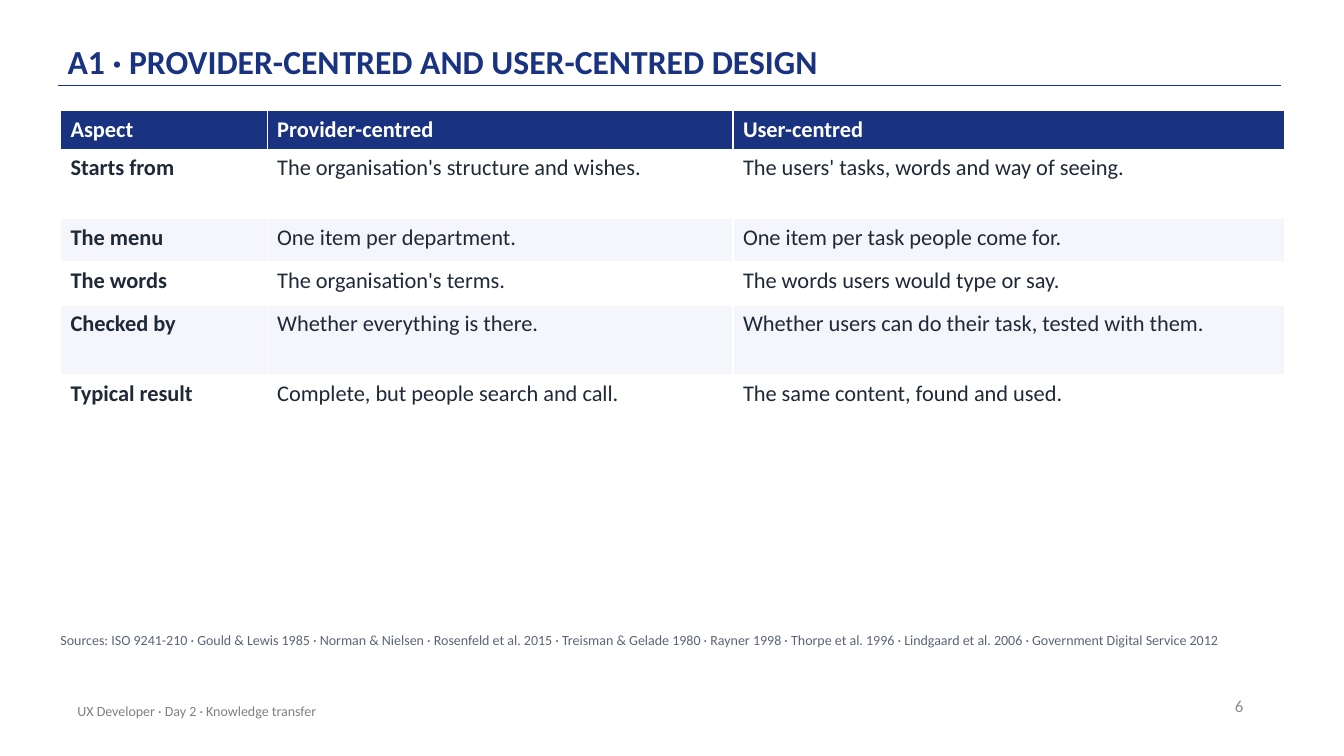
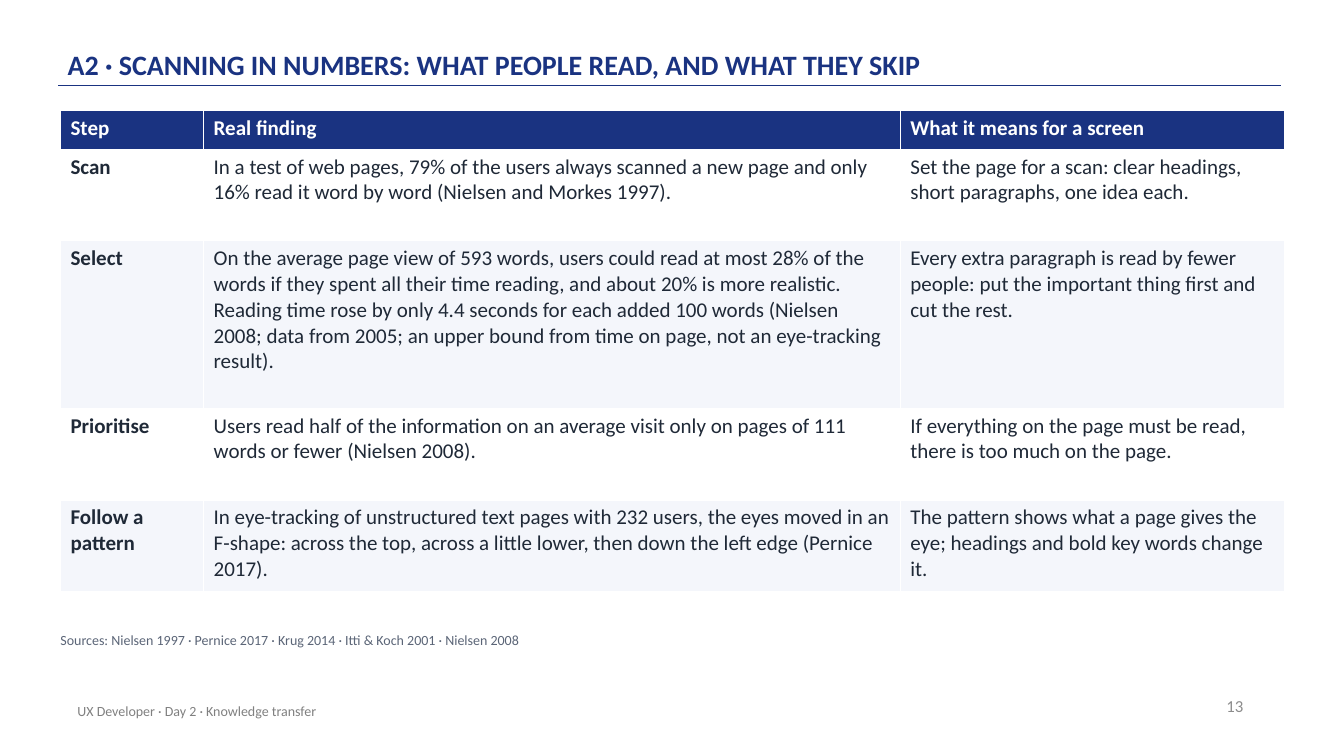
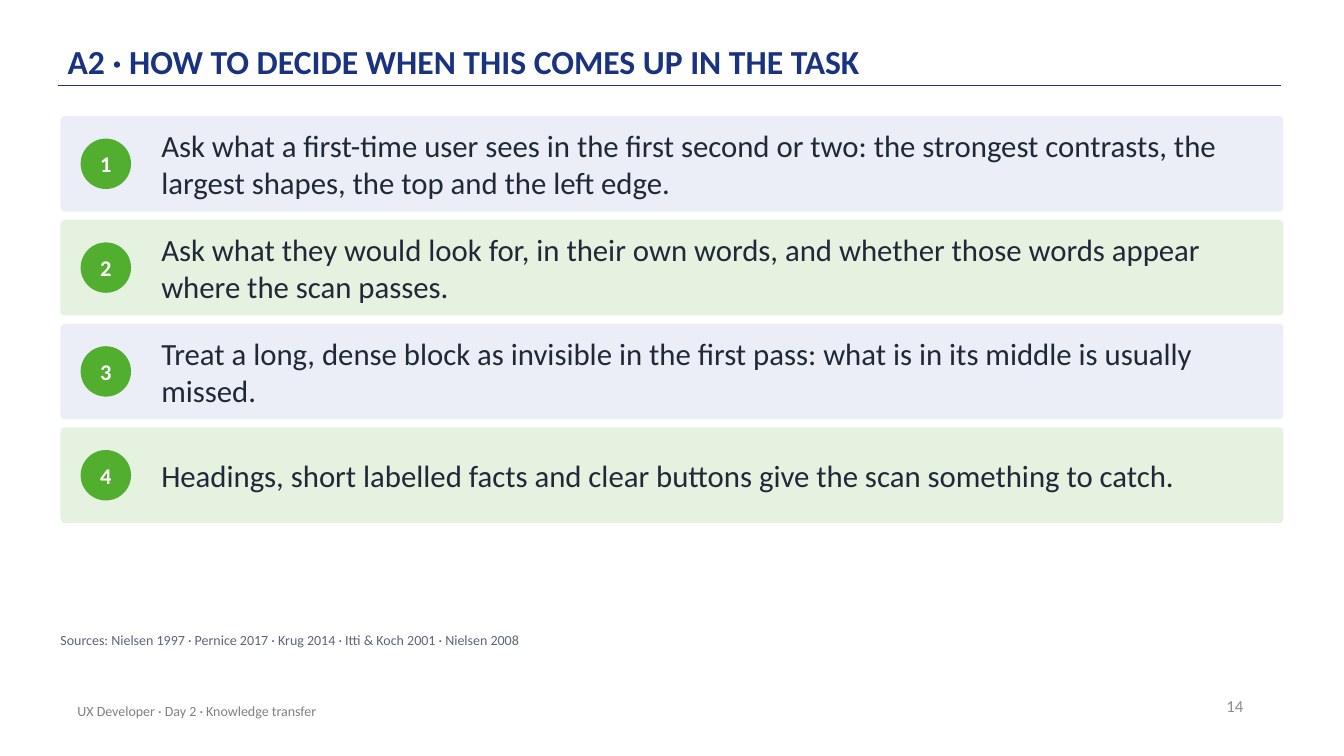
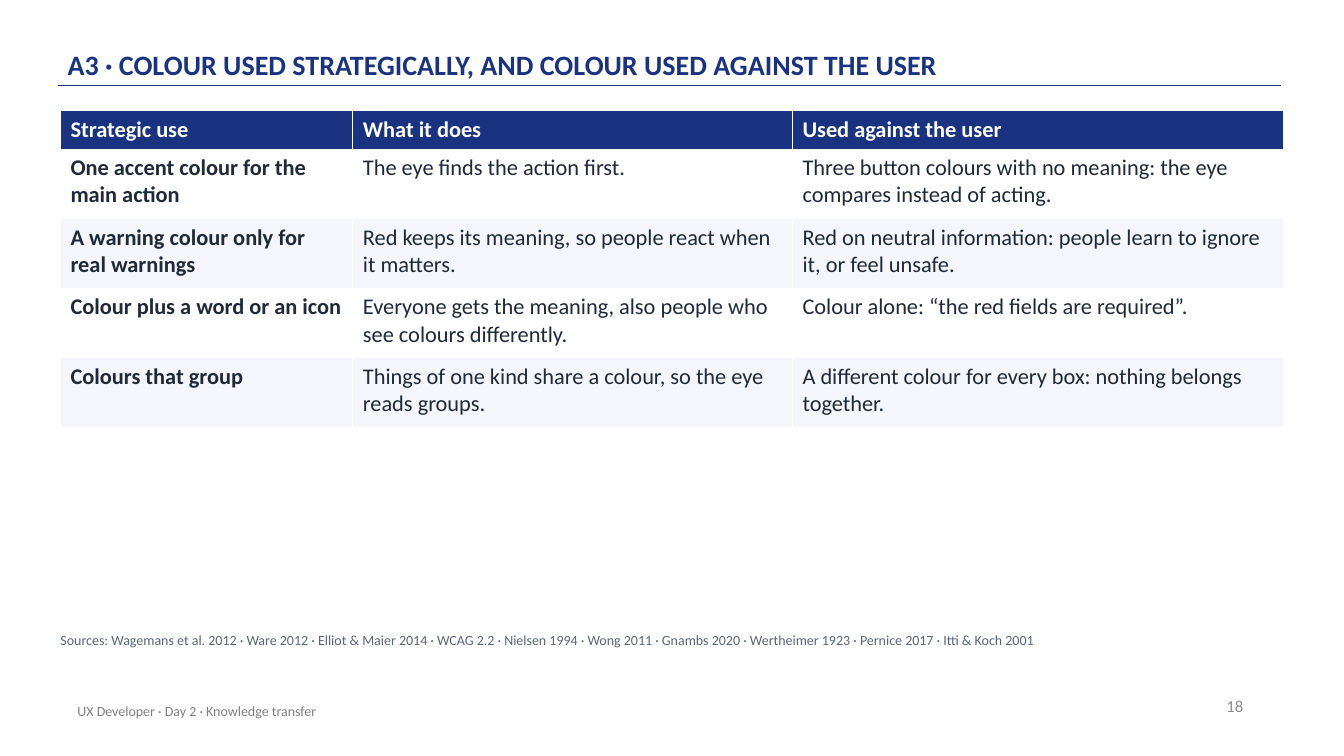
from lxml import etree
from pptx import Presentation
from pptx.dml.color import RGBColor
from pptx.enum.shapes import MSO_CONNECTOR, MSO_SHAPE
from pptx.enum.text import MSO_ANCHOR, MSO_AUTO_SIZE, PP_ALIGN
from pptx.oxml.ns import qn
from pptx.util import Inches, Pt

FONT = "Calibri"
COLOURS = {
    "navy": "1A3381",
    "white": "FFFFFF",
    "ink": "1F2937",
    "band": "F4F6FB",
    "lilac": "ECEEF7",
    "mint": "E5F2DF",
    "green": "51AE2F",
    "source": "5B6577",
    "footer": "808080",
    "number": "8C8C8C",
}
LEFT, WIDTH = 0.6, 12.13
FOOTER = "UX Developer · Day 2 · Knowledge transfer"
SCANNING_SOURCES = "Nielsen 1997 · Pernice 2017 · Krug 2014 · Itti & Koch 2001 · Nielsen 2008"


def colour(name):
    return RGBColor.from_string(COLOURS[name])


class Deck:
    def __init__(self):
        self.deck = Presentation()
        self.deck.slide_width = Inches(13.33)
        self.deck.slide_height = Inches(7.5)
        self.page = None

    def fill_text(self, frame, text, size, ink, bold=False, align=PP_ALIGN.LEFT):
        para = frame.paragraphs[0]
        para.text = text
        para.alignment = align
        font = para.font
        font.name, font.size, font.bold = FONT, Pt(size), bold
        font.color.rgb = colour(ink)
        return para

    def set_frame(self, frame, anchor, margins):
        frame.word_wrap = True
        frame.auto_size = MSO_AUTO_SIZE.NONE
        frame.vertical_anchor = anchor
        frame.margin_left = frame.margin_right = Inches(margins[0])
        frame.margin_top = frame.margin_bottom = Inches(margins[1])

    def text(self, place, text, size, ink, anchor=MSO_ANCHOR.MIDDLE,
             margins=(0, 0), align=PP_ALIGN.LEFT):
        box = self.page.shapes.add_textbox(*map(Inches, place))
        self.set_frame(box.text_frame, anchor, margins)
        return self.fill_text(box.text_frame, text, size, ink, align=align)

    def shape(self, kind, place, fill):
        shape = self.page.shapes.add_shape(kind, *map(Inches, place))
        shape.shadow.inherit = False
        shape.fill.solid()
        shape.fill.fore_color.rgb = colour(fill)
        shape.line.fill.background()
        return shape

    def rule(self):
        line = self.page.shapes.add_connector(
            MSO_CONNECTOR.STRAIGHT, Inches(0.58), Inches(0.85), Inches(12.71), Inches(0.85))
        line.line.color.rgb = colour("navy")
        line.line.width = Pt(1)
        etree.SubElement(line._element.spPr, qn("a:effectLst"))

    def start_page(self, title, number, sources, title_size=24):
        """Add a slide with its title, rule, sources and footer."""
        self.page = self.deck.slides.add_slide(self.deck.slide_layouts[5])
        self.rule()
        box = self.page.shapes.title
        box.left, box.top, box.width, box.height = map(Inches, (0.67, 0.12, 11, 0.72))
        self.set_frame(box.text_frame, MSO_ANCHOR.BOTTOM, (0, 0.03))
        para = self.fill_text(box.text_frame, title, title_size, "navy", bold=True)
        para.line_spacing = 0.9
        self.text((9.43, 6.8, 3, 0.4), str(number), 12, "number",
                  margins=(0.1, 0.05), align=PP_ALIGN.RIGHT)
        self.text((0.67, 6.85, 6.7, 0.4), FOOTER, 10, "footer", margins=(0.1, 0.05))
        para = self.text((LEFT, 6.27, 12.1, 0.3), "Sources: " + sources, 10, "source",
                         anchor=MSO_ANCHOR.TOP)
        para.space_after = Pt(6)

    def table(self, rows, widths, heights, size=16):
        """Add a table with a navy header, bold first column and pale bands."""
        frame = self.page.shapes.add_table(
            len(rows), len(widths), Inches(LEFT), Inches(1.1),
            Inches(WIDTH), Inches(sum(heights)))
        table = frame.table
        for column, width in zip(table.columns, widths):
            column.width = Inches(width)
        for row, height in zip(table.rows, heights):
            row.height = Inches(height)
        for r, texts in enumerate(rows):
            if r == 0:
                fill, ink = "navy", "white"
            else:
                fill, ink = ("white" if r % 2 else "band"), "ink"
            for c, text in enumerate(texts):
                cell = table.cell(r, c)
                cell.fill.solid()
                cell.fill.fore_color.rgb = colour(fill)
                self.fill_text(cell.text_frame, text, size, ink, bold=r == 0 or c == 0)

    def steps(self, texts):
        """Add numbered bars in alternating colours."""
        height, pitch, badge_size = 0.95, 1.03, 0.5
        for index, text in enumerate(texts):
            top = 1.15 + index * pitch
            bar = self.shape(MSO_SHAPE.ROUNDED_RECTANGLE, (LEFT, top, WIDTH, height),
                             "mint" if index % 2 else "lilac")
            bar.adjustments[0] = 0.05
            badge = self.shape(
                MSO_SHAPE.OVAL,
                (0.8, top + (height - badge_size) / 2, badge_size, badge_size), "green")
            self.set_frame(badge.text_frame, MSO_ANCHOR.MIDDLE, (0, 0))
            self.fill_text(badge.text_frame, str(index + 1), 16, "white", True,
                           PP_ALIGN.CENTER)
            self.text((1.6, top, 10.93, height), text, 22, "ink")


def main():
    deck = Deck()

    deck.start_page(
        "A1 · PROVIDER-CENTRED AND USER-CENTRED DESIGN", 6,
        "ISO 9241-210 · Gould & Lewis 1985 · Norman & Nielsen · Rosenfeld et al. 2015 · "
        "Treisman & Gelade 1980 · Rayner 1998 · Thorpe et al. 1996 · "
        "Lindgaard et al. 2006 · Government Digital Service 2012")
    deck.table([
        ("Aspect", "Provider-centred", "User-centred"),
        ("Starts from", "The organisation's structure and wishes.",
         "The users' tasks, words and way of seeing."),
        ("The menu", "One item per department.", "One item per task people come for."),
        ("The words", "The organisation's terms.", "The words users would type or say."),
        ("Checked by", "Whether everything is there.",
         "Whether users can do their task, tested with them."),
        ("Typical result", "Complete, but people search and call.",
         "The same content, found and used."),
    ], (2.05, 4.62, 5.47), (0.38, 0.69, 0.43, 0.43, 0.69, 0.43))

    deck.start_page("A2 · SCANNING IN NUMBERS: WHAT PEOPLE READ, AND WHAT THEY SKIP", 13,
                    SCANNING_SOURCES, title_size=20)
    deck.table([
        ("Step", "Real finding", "What it means for a screen"),
        ("Scan",
         "In a test of web pages, 79% of the users always scanned a new page and only "
         "16% read it word by word (Nielsen and Morkes 1997).",
         "Set the page for a scan: clear headings, short paragraphs, one idea each."),
        ("Select",
         "On the average page view of 593 words, users could read at most 28% of the words "
         "if they spent all their time reading, and about 20% is more realistic. Reading time "
         "rose by only 4.4 seconds for each added 100 words (Nielsen 2008; data from 2005; "
         "an upper bound from time on page, not an eye-tracking result).",
         "Every extra paragraph is read by fewer people: put the important thing first "
         "and cut the rest."),
        ("Prioritise",
         "Users read half of the information on an average visit only on pages of 111 words "
         "or fewer (Nielsen 2008).",
         "If everything on the page must be read, there is too much on the page."),
        ("Follow a pattern",
         "In eye-tracking of unstructured text pages with 232 users, the eyes moved in an "
         "F-shape: across the top, across a little lower, then down the left edge "
         "(Pernice 2017).",
         "The pattern shows what a page gives the eye; headings and bold key words change it."),
    ], (1.42, 6.91, 3.81), (0.38, 0.91, 1.66, 0.91, 0.91), size=15)

    deck.start_page("A2 · HOW TO DECIDE WHEN THIS COMES UP IN THE TASK", 14, SCANNING_SOURCES)
    deck.steps([
        "Ask what a first-time user sees in the first second or two: the strongest contrasts, "
        "the largest shapes, the top and the left edge.",
        "Ask what they would look for, in their own words, and whether those words appear "
        "where the scan passes.",
        "Treat a long, dense block as invisible in the first pass: what is in its middle is "
        "usually missed.",
        "Headings, short labelled facts and clear buttons give the scan something to catch.",
    ])

    deck.start_page(
        "A3 · COLOUR USED STRATEGICALLY, AND COLOUR USED AGAINST THE USER", 18,
        "Wagemans et al. 2012 · Ware 2012 · Elliot & Maier 2014 · WCAG 2.2 · Nielsen 1994 · "
        "Wong 2011 · Gnambs 2020 · Wertheimer 1923 · Pernice 2017 · Itti & Koch 2001",
        title_size=20)
    deck.table([
        ("Strategic use", "What it does", "Used against the user"),
        ("One accent colour for the main action", "The eye finds the action first.",
         "Three button colours with no meaning: the eye compares instead of acting."),
        ("A warning colour only for real warnings",
         "Red keeps its meaning, so people react when it matters.",
         "Red on neutral information: people learn to ignore it, or feel unsafe."),
        ("Colour plus a word or an icon",
         "Everyone gets the meaning, also people who see colours differently.",
         "Colour alone: “the red fields are required”."),
        ("Colours that group", "Things of one kind share a colour, so the eye reads groups.",
         "A different colour for every box: nothing belongs together."),
    ], (2.9, 4.36, 4.87), (0.38, 0.69, 0.69, 0.69, 0.69))

    deck.deck.save("out.pptx")


if __name__ == "__main__":
    main()
